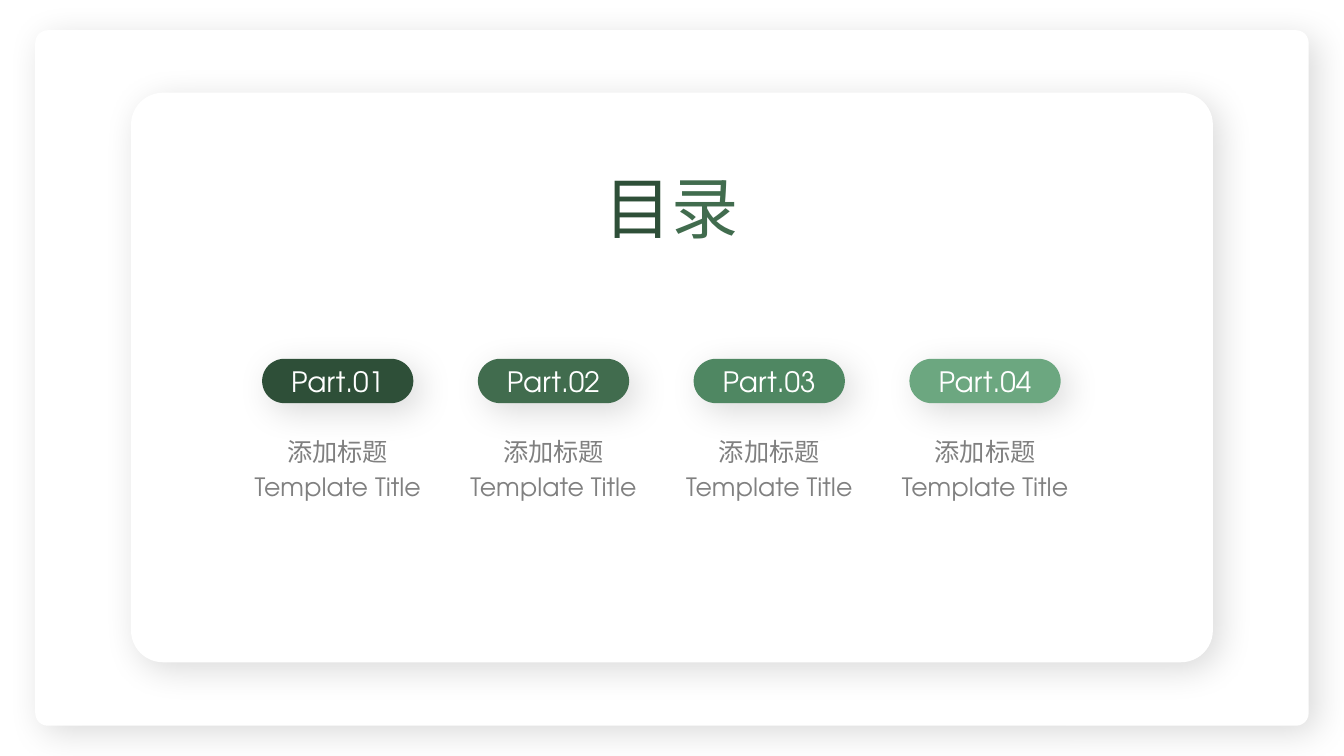
import lxml.etree
import pptx
import pptx.dml.color
import pptx.enum.shapes
import pptx.enum.text
import pptx.oxml.ns
import pptx.util

Inches = pptx.util.Inches
COLORS = {
    "white": "FFFFFF",
    "shadow": "000000",
    "caption": "808080",
    "forest": "2E4F38",
    "moss": "416C4E",
    "fern": "4F8762",
    "mint": "6CA780",
}
PART_COLORS = ["forest", "moss", "fern", "mint"]
CJK_FONT = "Noto Sans CJK SC"
LATIN_FONT = "TeX Gyre Adventor"
CAPTIONS = [("添加标题", 0.72, 1.21), ("Template Title", 1.07, 1.88)]


def rgb(name):
    """Return the named colour."""
    return pptx.dml.color.RGBColor.from_string(COLORS[name])


def add_shadow(shape):
    """Give a shape the soft shadow that falls to the lower right."""
    shape.shadow.inherit = False
    effects = shape._element.spPr.find(pptx.oxml.ns.qn("a:effectLst"))
    shadow = lxml.etree.SubElement(
        effects, pptx.oxml.ns.qn("a:outerShdw"),
        blurRad=str(pptx.util.Pt(25)), dist=str(pptx.util.Pt(8)),
        dir="2700000", algn="tl", rotWithShape="0")
    color = lxml.etree.SubElement(
        shadow, pptx.oxml.ns.qn("a:srgbClr"), val=COLORS["shadow"])
    lxml.etree.SubElement(color, pptx.oxml.ns.qn("a:alpha"), val="15000")


def add_panel(slide, left, top, width, height, rounding, color):
    """Draw a rounded panel with a soft shadow."""
    panel = slide.shapes.add_shape(
        pptx.enum.shapes.MSO_SHAPE.ROUNDED_RECTANGLE,
        Inches(left), Inches(top), Inches(width), Inches(height))
    panel.adjustments[0] = rounding
    panel.fill.solid()
    panel.fill.fore_color.rgb = rgb(color)
    panel.line.fill.background()
    add_shadow(panel)
    return panel


def write_line(shape, spans, size, font_name, anchor="TOP"):
    """Write one centred line of coloured spans into a shape."""
    frame = shape.text_frame
    frame_format = {
        "word_wrap": False,
        "auto_size": pptx.enum.text.MSO_AUTO_SIZE.NONE,
        "vertical_anchor": pptx.enum.text.MSO_ANCHOR[anchor],
        "margin_left": Inches(0.1),
        "margin_right": Inches(0.1),
        "margin_top": Inches(0.05),
        "margin_bottom": Inches(0.05),
    }
    for name, value in frame_format.items():
        setattr(frame, name, value)
    para = frame.paragraphs[0]
    para_format = {
        "alignment": pptx.enum.text.PP_ALIGN.CENTER,
        "line_spacing": 1.0,
    }
    for name, value in para_format.items():
        setattr(para, name, value)
    for text, color in spans:
        span = para.add_run()
        span.text = text
        span_format = {"size": pptx.util.Pt(size), "name": font_name}
        for name, value in span_format.items():
            setattr(span.font, name, value)
        span.font.color.rgb = rgb(color)
        lxml.etree.SubElement(
            span.font._element, pptx.oxml.ns.qn("a:ea"), typeface=CJK_FONT)


def place_title(slide, left, top, width, height):
    """Place the two-tone title in front of the panels."""
    title = slide.shapes.title
    box = {"left": left, "top": top, "width": width, "height": height}
    for name, value in box.items():
        setattr(title, name, Inches(value))
    write_line(title, [("目", "forest"), ("录", "moss")], 48, CJK_FONT)
    slide.shapes._spTree.append(title._element)


def add_part(slide, left, top, width, number, color):
    """Draw one numbered pill with its two captions centred below."""
    pill = add_panel(slide, left, top, width, 0.44, 0.5, color)
    write_line(pill, [(f"Part.{number:02}", "white")], 20, LATIN_FONT, "MIDDLE")
    for text, offset, caption_width in CAPTIONS:
        caption = slide.shapes.add_textbox(
            Inches(left + (width - caption_width) / 2), Inches(top + offset),
            Inches(caption_width), Inches(0.4))
        write_line(caption, [(text, "caption")], 18, LATIN_FONT)


def build_contents(slide):
    """Lay out the contents slide."""
    add_panel(slide, 0.35, 0.3, 12.63, 6.9, 0.018, "white")
    add_panel(slide, 1.3, 0.92, 10.73, 5.65, 0.056, "white")
    place_title(slide, 5.89, 1.6, 1.55, 0.91)
    for index, color in enumerate(PART_COLORS):
        add_part(slide, 2.6 + 2.14 * index, 3.56, 1.5, index + 1, color)


def main():
    """Build and save the deck."""
    deck = pptx.Presentation()
    deck.slide_width = Inches(13.33)
    deck.slide_height = Inches(7.5)
    build_contents(deck.slides.add_slide(deck.slide_layouts[5]))
    deck.save("out.pptx")


if __name__ == "__main__":
    main()
